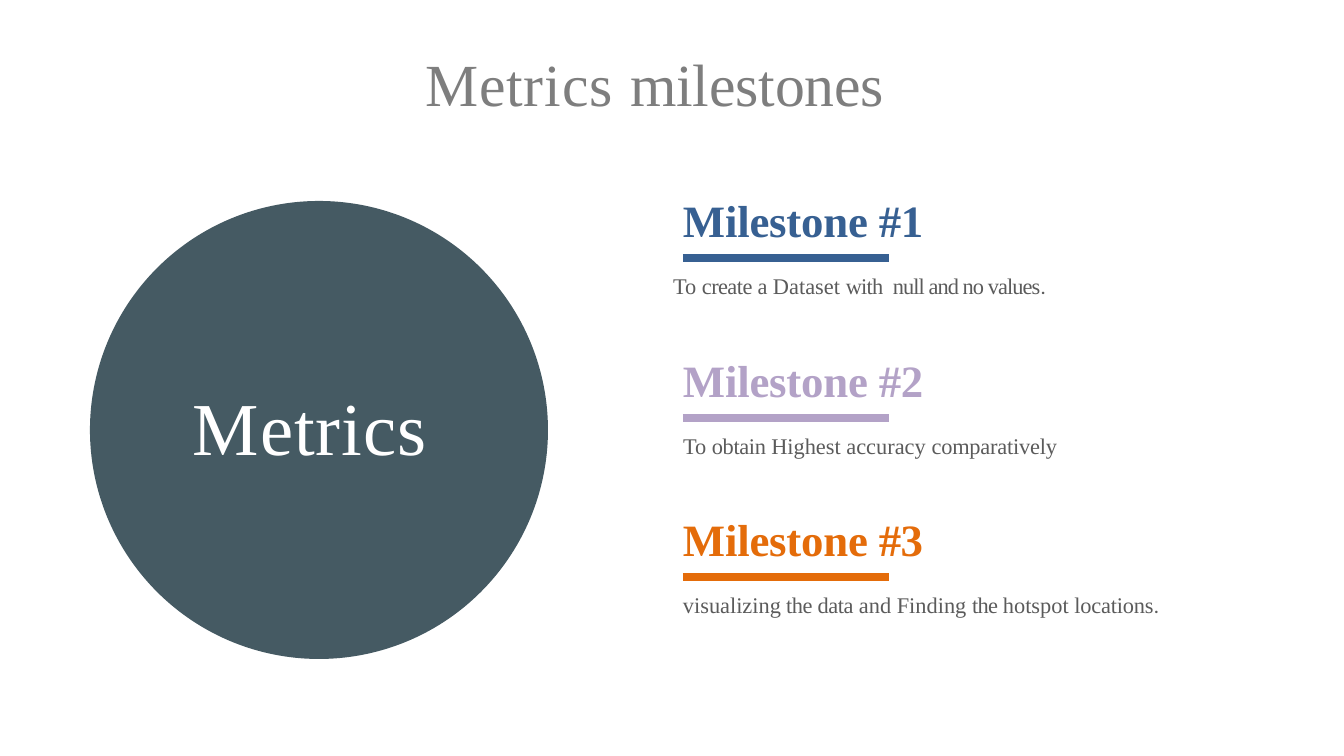
from lxml.etree import SubElement
from pptx import Presentation
from pptx.dml.color import RGBColor
from pptx.enum.shapes import MSO_CONNECTOR, MSO_SHAPE
from pptx.enum.text import MSO_ANCHOR, MSO_AUTO_SIZE, PP_ALIGN
from pptx.oxml.ns import qn
from pptx.util import Pt

SCALE = 914400 / 134.4
SERIF, SANS = "Times New Roman", "Roboto"
GREY = "5B5B5B"
LEFT = 682

# Bar colour, bar height on the slide, body left and width, spacing of "#n",
# then the body as (text, letter spacing in points[, font]).
STONES = [
    ("376092", 258, 672, 491, -0.2,
     [("To ", 0), ("create ", -0.3), ("a Dataset ", 0), ("with ", -0.4),
      (" null and no values", -0.5), (".", -0.1, SANS)]),
    ("B3A2C7", 418, LEFT, 422, -0.2,
     [("To ", 0), ("obtain ", -0.2), ("Highest accuracy", 0),
      (" comparatively", -0.1)]),
    ("E46C0A", 577, LEFT, 539, -0.3,
     [("visualizing", 0), (" the ", -0.3), ("data ", -0.2),
      ("and Finding ", 0), ("the ", -0.4), ("hotspot ", 0),
      ("locations", -0.1), (".", -0.1, SANS)]),
]


def px(n):
    return round(n * SCALE)


def box(*sides):
    return [px(n) for n in sides]


def rgb(code):
    return RGBColor.from_string(code)


class Deck:
    """Holds the file, its current slide and the shared text style."""

    def __init__(self, wide, high):
        self.file = Presentation()
        self.file.slide_width, self.file.slide_height = box(wide, high)
        self.slide = self.file.slides.add_slide(self.file.slide_layouts[5])
        self.frame = {
            "word_wrap": True, "auto_size": MSO_AUTO_SIZE.NONE,
            "vertical_anchor": MSO_ANCHOR.TOP,
            "margin_left": px(1), "margin_top": px(1),
            "margin_right": 0, "margin_bottom": 0,
        }

    def fill(self, frame, runs, size, color, bold=False, **extra):
        """Fill a text frame with runs; extra overrides the frame style."""
        for name, value in {**self.frame, **extra}.items():
            setattr(frame, name, value)
        para = frame.paragraphs[0]
        para.alignment = PP_ALIGN.LEFT
        para.space_before = Pt(1)
        for text, gap, *face in runs:
            run = para.add_run()
            run.text = text
            style = {"name": face[0] if face else SERIF,
                     "size": Pt(size), "bold": bold}
            for name, value in style.items():
                setattr(run.font, name, value)
            run.font.color.rgb = rgb(color)
            run._r.get_or_add_rPr().set("spc", str(round(gap * 100)))

    def title(self, sides, runs, size, color, **extra):
        shape = self.slide.shapes.title
        names = ("left", "top", "width", "height")
        for name, value in zip(names, box(*sides)):
            setattr(shape, name, value)
        self.fill(shape.text_frame, runs, size, color, **extra)

    def text(self, sides, runs, size, color, bold=False):
        shape = self.slide.shapes.add_textbox(*box(*sides))
        self.fill(shape.text_frame, runs, size, color, bold)

    def disc(self, left, top, size, color):
        shape = self.slide.shapes.add_shape(
            MSO_SHAPE.OVAL, *box(left, top, size, size))
        shape.shadow.inherit = False
        shape.fill.solid()
        shape.fill.fore_color.rgb = rgb(color)
        shape.line.fill.background()

    def bar(self, left, top, width, color):
        line = self.slide.shapes.add_connector(
            MSO_CONNECTOR.STRAIGHT, *box(left, top, left + width, top))
        line.line.width = Pt(4.5)
        line.line.color.rgb = rgb(color)
        SubElement(line._element.spPr, qn("a:effectLst"))


def main():
    deck = Deck(1344, 756)
    deck.disc(90, 201, 458, "455A63")
    deck.text((192, 380, 254, 93), [("Metrics", 0.5)], 40, "FFFFFF")
    deck.title((58, -4, 1230, 125), [("Metrics ", 0.5), ("milestones", -0.1)],
               32, "7E7E7E", margin_left=px(367), margin_top=px(51))
    for num, (color, top, left, width, gap, body) in enumerate(STONES, 1):
        deck.bar(683, top, 206, color)
        deck.text((LEFT, top - 66, 267, 58),
                  [("Milestone ", -0.1), (f"#{num}", gap)], 24, color, True)
        deck.text((left, top + 13, width, 30), body, 12, GREY)
    deck.file.save("out.pptx")


if __name__ == "__main__":
    main()
